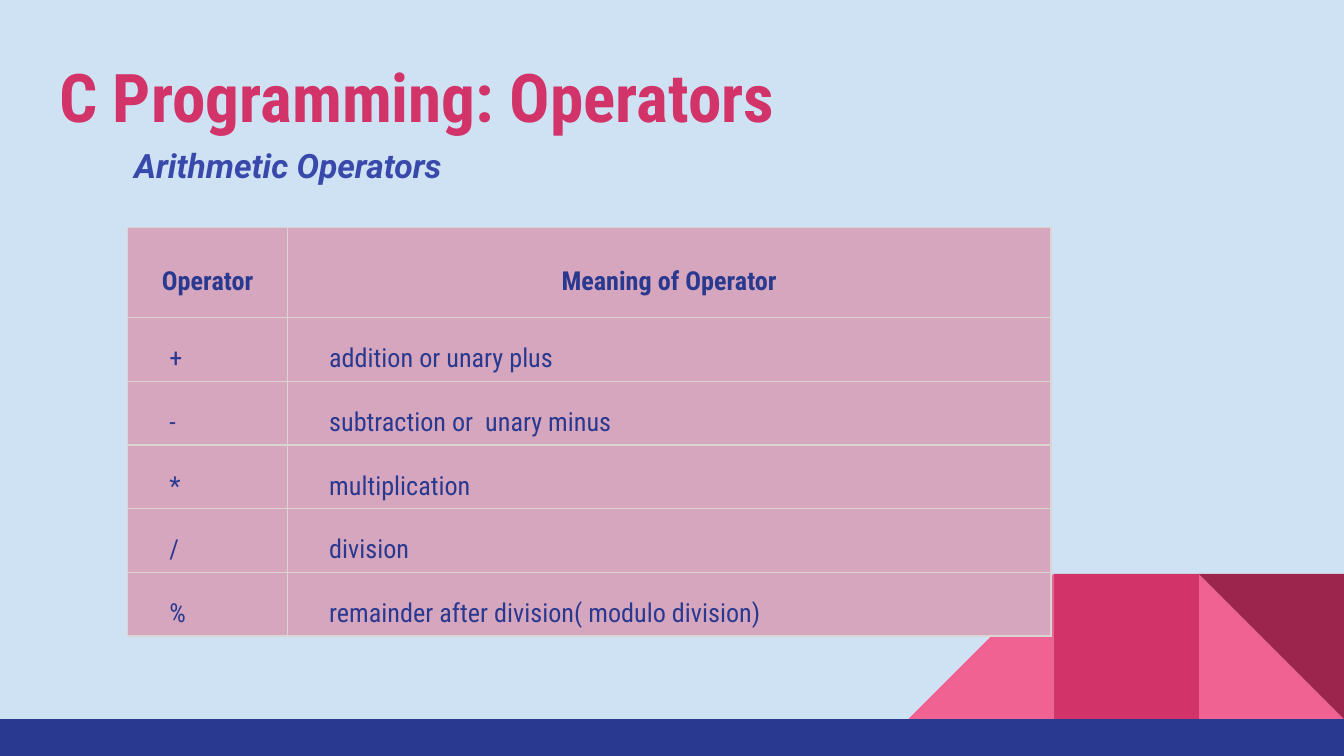
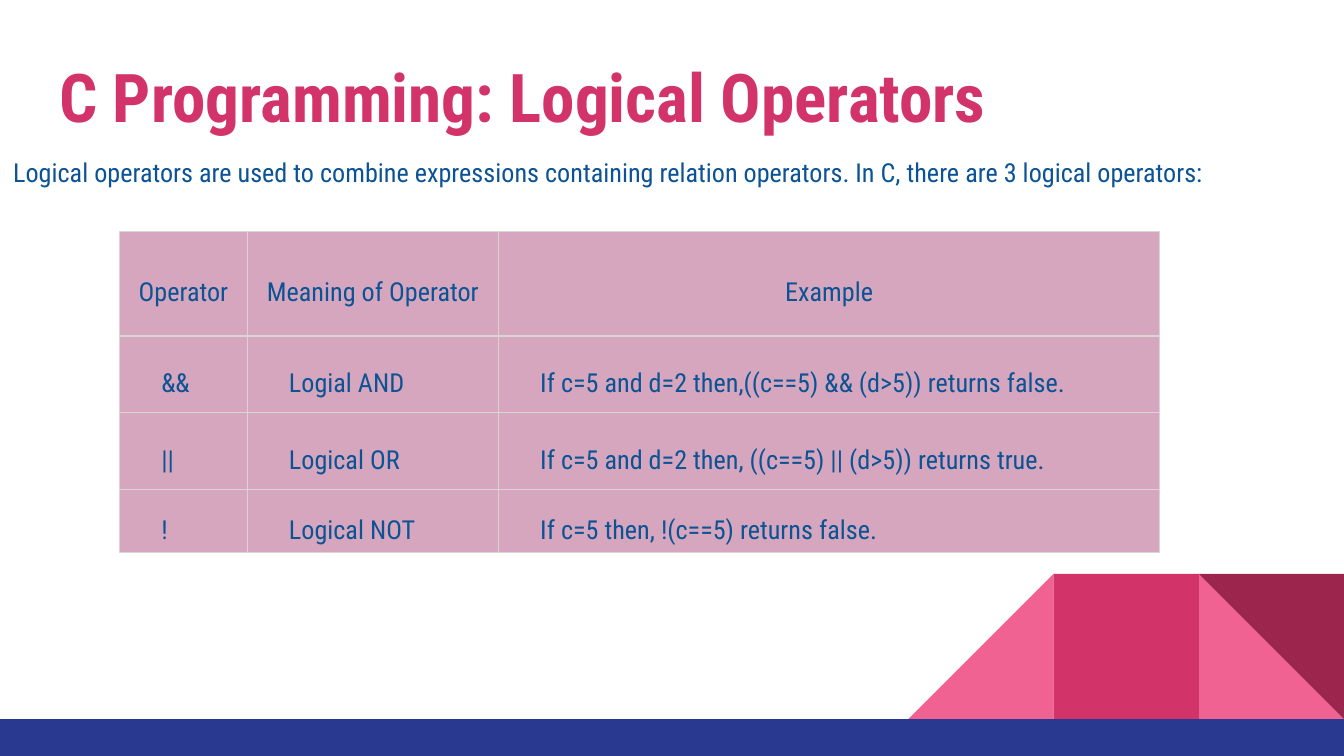
from lxml import etree
from pptx import Presentation
from pptx.dml.color import RGBColor
from pptx.enum.shapes import MSO_SHAPE
from pptx.enum.text import MSO_ANCHOR, PP_ALIGN
from pptx.oxml.ns import qn
from pptx.util import Inches, Pt

RECTANGLE = MSO_SHAPE.RECTANGLE
TRIANGLE = MSO_SHAPE.RIGHT_TRIANGLE
TOP, MIDDLE = MSO_ANCHOR.TOP, MSO_ANCHOR.MIDDLE
LEFT, CENTER = PP_ALIGN.LEFT, PP_ALIGN.CENTER

COLORS = {
    "sky": "CFE2F3",
    "white": "FFFFFF",
    "light_pink": "F06292",
    "pink": "D23369",
    "wine": "9C254D",
    "navy": "2A3990",
    "indigo": "3949AB",
    "blue": "0B5394",
    "mauve": "D5A6BD",
    "border": "DBD5D2",
}
CONDENSED, REGULAR = "Roboto Condensed", "Roboto"

WIDTH = 10
HEIGHT = WIDTH * 9 / 16
BAND_TOP = 5.35
BLOCK = 1.08
PADDING = 0.1
TITLE_BOX = (0.34, 0.22, 9.32, 0.9)

SLIDES = [
    {
        "background": "sky",
        "title": "C Programming: Operators",
        "intro": {
            "text": "Arithmetic Operators",
            "box": (0.48, 0.93, 9.05, 4.22),
            "anchor": TOP,
            "indent": 0.42,
            "font": {"size": 18, "color": "indigo", "name": REGULAR, "bold": True, "italic": True},
        },
        "table": {
            "position": (0.95, 1.69),
            "columns": [1.19, 5.68],
            "heights": [0.55] + [0.34] * 5,
            "color": "navy",
            "bold_header": True,
            "rows": [
                ("Operator", "Meaning of Operator"),
                ("+", "addition or unary plus"),
                ("-", "subtraction or  unary minus"),
                ("*", "multiplication"),
                ("/", "division"),
                ("%", "remainder after division( modulo division)"),
            ],
        },
    },
    {
        "background": "white",
        "title": "C Programming: Logical Operators",
        "intro": {
            "text": "Logical operators are used to combine expressions containing "
                    "relation operators. In C, there are 3 logical operators:",
            "box": (0, 0.91, 9.73, 0.7),
            "anchor": MIDDLE,
            "indent": 0,
            "font": {"size": 14, "color": "blue"},
        },
        "table": {
            "position": (0.89, 1.72),
            "columns": [0.95, 1.87, 4.92],
            "heights": [0.78, 0.57, 0.57, 0.34],
            "color": "blue",
            "bold_header": False,
            "rows": [
                ("Operator", "Meaning of Operator", "Example"),
                ("&&", "Logial AND", "If c=5 and d=2 then,((c==5) && (d>5)) returns false."),
                ("||", "Logical OR", "If c=5 and d=2 then, ((c==5) || (d>5)) returns true."),
                ("!", "Logical NOT", "If c=5 then, !(c==5) returns false."),
            ],
        },
    },
]


def rgb(name):
    return RGBColor.from_string(COLORS[name])


def paint(target, color):
    target.fill.solid()
    target.fill.fore_color.rgb = rgb(color)


def set_margins(target, horizontal, vertical):
    target.margin_left = target.margin_right = Inches(horizontal)
    target.margin_top = target.margin_bottom = Inches(vertical)


def write(frame, text, size, color, name=CONDENSED, bold=False, italic=False,
          align=LEFT, spacing=1.15):
    paragraph = frame.paragraphs[0]
    paragraph.alignment = align
    paragraph.line_spacing = spacing
    run = paragraph.add_run()
    run.text = text
    font = run.font
    font.size, font.name, font.bold, font.italic = Pt(size), name, bold, italic
    font.color.rgb = rgb(color)
    return paragraph


def prepare_frame(shape, anchor):
    frame = shape.text_frame
    frame.word_wrap = True
    frame.vertical_anchor = anchor
    set_margins(frame, PADDING, PADDING)
    return frame


def add_block(slide, kind, color, left, top, width, height):
    shape = slide.shapes.add_shape(kind, *map(Inches, (left, top, width, height)))
    shape.shadow.inherit = False
    paint(shape, color)
    shape.line.fill.background()
    return shape


def add_decoration(slide):
    top = BAND_TOP - BLOCK
    right, middle, left = (WIDTH - BLOCK * step for step in (1, 2, 3))
    add_block(slide, TRIANGLE, "light_pink", right, top, BLOCK, BLOCK)
    slope = add_block(slide, TRIANGLE, "light_pink", left, top, BLOCK, BLOCK)
    slope.element.spPr.find(qn("a:xfrm")).set("flipH", "1")
    add_block(slide, RECTANGLE, "pink", middle, top, BLOCK, BLOCK)
    add_block(slide, TRIANGLE, "wine", right, top, BLOCK, BLOCK).rotation = 180
    add_block(slide, RECTANGLE, "navy", 0, BAND_TOP, WIDTH, HEIGHT - BAND_TOP)


def add_title(slide, text):
    title = slide.shapes.title
    title.left, title.top, title.width, title.height = map(Inches, TITLE_BOX)
    write(prepare_frame(title, MIDDLE), text, 36, "pink", bold=True)


def add_intro(slide, intro):
    box = slide.shapes.add_textbox(*map(Inches, intro["box"]))
    paragraph = write(prepare_frame(box, intro["anchor"]), intro["text"], **intro["font"])
    properties = paragraph._p.get_or_add_pPr()
    properties.set("marL", "0")
    properties.set("indent", str(Inches(intro["indent"])))


def add_borders(cell):
    properties = cell._tc.get_or_add_tcPr()
    for side in ("lnL", "lnR", "lnT", "lnB"):
        line = etree.SubElement(properties, qn(f"a:{side}"), w=str(Pt(0.75)))
        fill = etree.SubElement(line, qn("a:solidFill"))
        etree.SubElement(fill, qn("a:srgbClr"), val=COLORS["border"])


def add_operator_table(slide, data):
    columns, heights, rows = data["columns"], data["heights"], data["rows"]
    left, top = data["position"]
    size = (left, top, sum(columns), sum(heights))
    table = slide.shapes.add_table(len(rows), len(columns), *map(Inches, size)).table
    for column, width in zip(table.columns, columns):
        column.width = Inches(width)
    for index, (row, height, texts) in enumerate(zip(table.rows, heights, rows)):
        row.height = Inches(height)
        header = index == 0
        for cell, text in zip(row.cells, texts):
            add_borders(cell)
            paint(cell, "mauve")
            cell.vertical_anchor = MIDDLE
            set_margins(cell, *((0.1, 0.15) if header else (0.31, 0.05)))
            write(cell.text_frame, text, 14, data["color"],
                  bold=header and data["bold_header"],
                  align=CENTER if header else LEFT, spacing=1.6)


def main():
    presentation = Presentation()
    presentation.slide_width = Inches(WIDTH)
    presentation.slide_height = Inches(HEIGHT)
    title_only = presentation.slide_layouts[5]
    for content in SLIDES:
        slide = presentation.slides.add_slide(title_only)
        paint(slide.background, content["background"])
        add_decoration(slide)
        add_title(slide, content["title"])
        add_intro(slide, content["intro"])
        add_operator_table(slide, content["table"])
    presentation.save("out.pptx")


if __name__ == "__main__":
    main()
